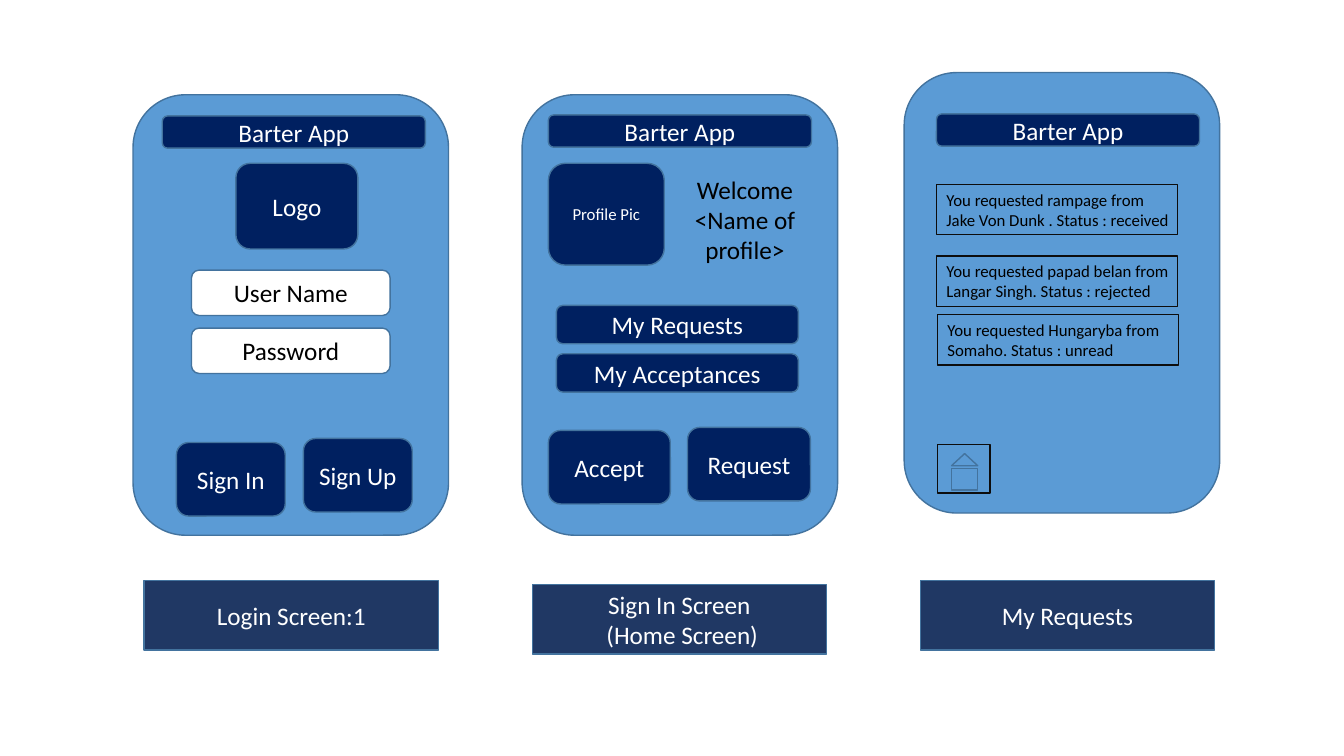
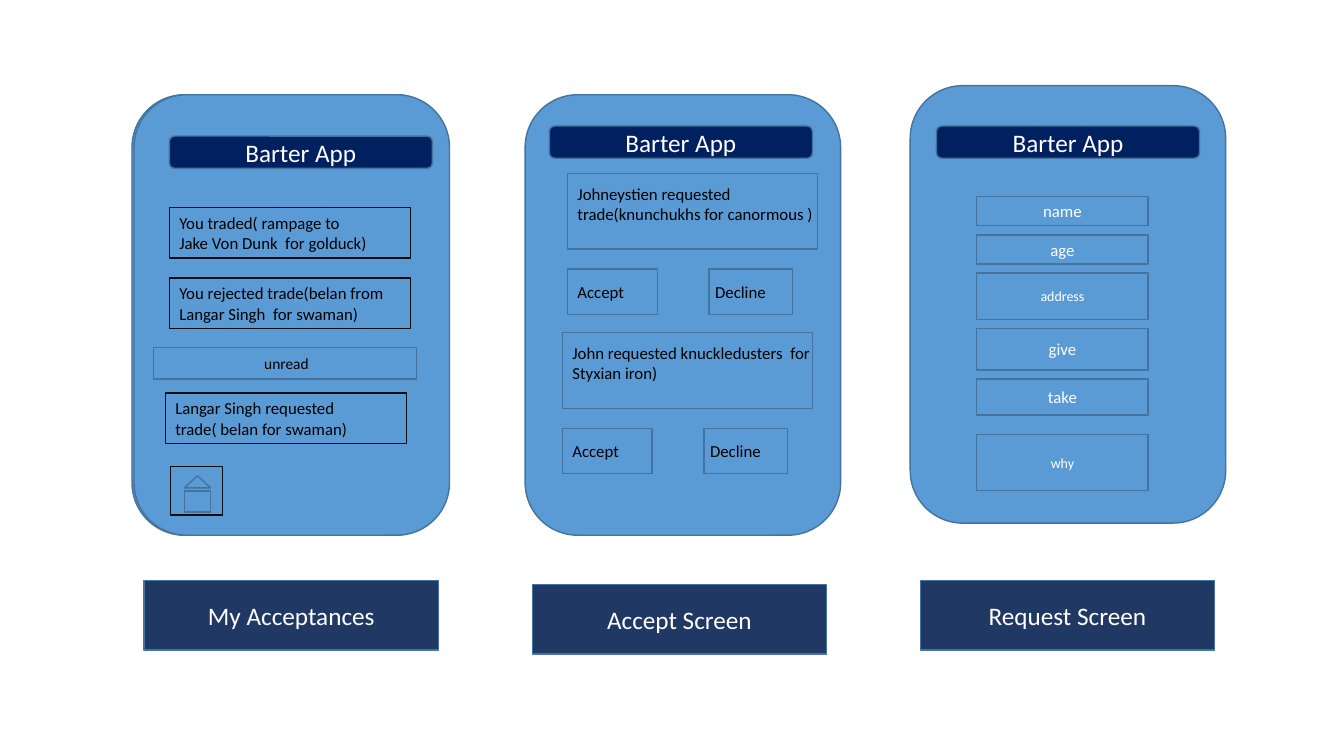
import dataclasses
import typing

import pptx
import pptx.dml.color
import pptx.enum.shapes
import pptx.enum.text
import pptx.util

SHAPE = pptx.enum.shapes.MSO_SHAPE
ALIGN = pptx.enum.text.PP_ALIGN
ANCHOR = pptx.enum.text.MSO_ANCHOR

CELL = pptx.util.Inches(0.1)
COLS, ROWS = 133.33, 75
FONT = "Calibri"
COLORS = {
    "screen": "5B9BD5",
    "outline": "43739E",
    "navy": "002060",
    "caption": "203864",
    "white": "FFFFFF",
    "black": "000000",
    "frame": "0D0D0D",
}


def cells(n: float) -> int:
    return round(n * CELL)


def rgb(name: str) -> pptx.dml.color.RGBColor:
    return pptx.dml.color.RGBColor.from_string(COLORS[name])


@dataclasses.dataclass(frozen=True)
class Style:
    shape: typing.Any = SHAPE.RECTANGLE
    fill: typing.Optional[str] = "screen"
    line: str = "outline"
    ink: str = "white"
    size: int = 18
    align: typing.Any = ALIGN.CENTER
    frame: dict = dataclasses.field(default_factory=dict)


@dataclasses.dataclass(frozen=True)
class Box:
    style: str
    col: float
    row: float
    width: float
    height: float
    text: str = ""


NOTE_FRAME = {"margin_right": 0}
OFFER_FRAME = {"margin_right": 0, "margin_top": cells(1), "vertical_anchor": ANCHOR.TOP}
CHOICE = Style(ink="black", size=12, align=ALIGN.LEFT)
STYLES = {
    "phone": Style(SHAPE.ROUNDED_RECTANGLE),
    "button": Style(SHAPE.ROUNDED_RECTANGLE, "navy"),
    "photo": Style(SHAPE.ROUNDED_RECTANGLE, "navy", size=12),
    "input": Style(SHAPE.ROUNDED_RECTANGLE, "white", ink="black"),
    "caption": Style(fill="caption"),
    "note": Style(fill=None, line="frame", ink="black", size=12,
                  align=ALIGN.LEFT, frame=NOTE_FRAME),
    "status": Style(ink="black", size=11),
    "offer": dataclasses.replace(CHOICE, frame=OFFER_FRAME),
    "accept": CHOICE,
    "decline": dataclasses.replace(CHOICE, frame={"margin_left": cells(0.6), "margin_right": 0}),
    "field": Style(size=12),
    "small field": Style(size=10),
    "icon frame": Style(line="frame"),
    "wall": Style(),
    "roof": Style(SHAPE.ISOSCELES_TRIANGLE),
}


def write(tf: typing.Any, text: str, style: Style) -> None:
    frame = {"word_wrap": True, "vertical_anchor": ANCHOR.MIDDLE, **style.frame}
    for name, value in frame.items():
        setattr(tf, name, value)
    for i, line in enumerate(text.split("\n")):
        p = tf.paragraphs[0] if i == 0 else tf.add_paragraph()
        p.alignment = style.align
        r = p.add_run()
        r.text = line
        for name, value in {"name": FONT, "size": pptx.util.Pt(style.size)}.items():
            setattr(r.font, name, value)
        r.font.color.rgb = rgb(style.ink)


def draw(s: typing.Any, box: Box) -> None:
    style = STYLES[box.style]
    sp = s.shapes.add_shape(style.shape, *map(cells, (box.col, box.row, box.width, box.height)))
    sp.shadow.inherit = False
    if style.fill:
        sp.fill.solid()
        sp.fill.fore_color.rgb = rgb(style.fill)
    else:
        sp.fill.background()
    sp.line.color.rgb = rgb(style.line)
    sp.line.width = pptx.util.Pt(1)
    if box.text:
        write(sp.text_frame, box.text, style)


def welcome(s: typing.Any, col: float, row: float) -> None:
    sp = s.shapes.add_textbox(*map(cells, (col, row, 16, 10.1)))
    write(sp.text_frame, "Welcome\n<Name of profile>",
          Style(ink="black", frame={"vertical_anchor": ANCHOR.TOP}))


def phone(col: float, row: float, height: float = 43.7) -> Box:
    return Box("phone", col, row, 31.3, height)


def header(col: float, row: float) -> Box:
    return Box("button", col, row, 26.1, 3.2, "Barter App")


def note(col: float, row: float, text: str) -> Box:
    return Box("note", col, row, 23.9, 5, text)


def home(col: float, row: float) -> list[Box]:
    return [
        Box("icon frame", col, row, 5.2, 4.8),
        Box("wall", col + 1.4, row + 2.4, 2.6, 2.1),
        Box("roof", col + 1.4, row + 0.9, 2.6, 1.2),
    ]


def offer(col: float, row: float, text: str) -> list[Box]:
    return [
        Box("offer", col, row, 24.8, 7.5, text),
        Box("accept", col, row + 9.5, 8.9, 4.5, "Accept"),
        Box("decline", col + 14.05, row + 9.5, 8.3, 4.5, "Decline"),
    ]


def form(col: float, row: float) -> list[Box]:
    fields = [
        ("field", "name", 2.9, 0.9),
        ("field", "age", 2.9, 0.9),
        ("small field", "address", 4.6, 0.9),
        ("field", "give", 4.1, 0.9),
        ("field", "take", 3.6, 1.9),
        ("small field", "why", 5.6, 0),
    ]
    boxes = []
    for style, text, height, gap in fields:
        boxes.append(Box(style, col, row, 17, height, text))
        row += height + gap
    return boxes


def captions(*texts: str) -> list[Box]:
    return [Box("caption", 14.3 + 38.5 * i, 58 if i == 1 else 57.6, 29.2, 6.9, text)
            for i, text in enumerate(texts)]


LOGIN = [
    phone(13.2, 9.4),
    header(16.1, 11.5),
    Box("button", 23.4, 16.2, 12.1, 8.5, "Logo"),
    *(Box("input", 19, 26.8 + 5.75 * i, 19.7, 4.5, text)
      for i, text in enumerate(("User Name", "Password"))),
    Box("button", 17.5, 43.9, 10.8, 7.3, "Sign In"),
    Box("button", 30.1, 43.5, 10.8, 7.3, "Sign Up"),
]
HOME = [
    phone(51.8, 9.4),
    header(54.4, 11.4),
    Box("photo", 54.4, 16.2, 11.5, 10.1, "Profile Pic"),
    *(Box("button", 55.2, 30.3 + 4.8 * i, 24, 3.8, text)
      for i, text in enumerate(("My Requests", "My Acceptances"))),
    Box("button", 54.4, 42.7, 12.1, 7.3, "Accept"),
    Box("button", 68.2, 42.4, 12.2, 7.3, "Request"),
]
REQUESTS = [
    phone(89.7, 7.2),
    header(92.9, 11.3),
    note(92.9, 18.3, "You requested rampage from\nJake Von Dunk . Status : received"),
    note(92.9, 25.4, "You requested papad belan from\nLangar Singh. Status : rejected"),
    note(93, 31.2, "You requested Hungaryba from\nSomaho. Status : unread"),
    *home(93, 44.1),
]
ACCEPTANCES = [
    phone(13.1, 9.4),
    phone(13.3, 9.4),
    header(16.8, 13.5),
    note(16.8, 20.6, "You traded( rampage to\nJake Von Dunk  for golduck)"),
    note(16.8, 27.6, "You rejected trade(belan from\nLangar Singh  for swaman)"),
    Box("status", 15.2, 34.5, 26.1, 3.1, " unread"),
    note(16.4, 39, "Langar Singh requested\ntrade( belan for swaman)"),
    *home(16.9, 46.3),
]
ACCEPT = [
    phone(52.1, 9.4),
    header(54.5, 12.5),
    *offer(56.3, 17.2, "Johneystien requested\ntrade(knunchukhs for canormous )"),
    *offer(55.8, 33, "John requested knuckledusters  for\nStyxian iron)"),
]
REQUEST = [
    phone(90.3, 8.5, 43.4),
    header(92.9, 12.5),
    *form(96.9, 19.5),
]
SLIDES = [
    LOGIN + HOME + REQUESTS
    + captions("Login Screen:1", "Sign In Screen\n (Home Screen)", "My Requests"),
    ACCEPTANCES + ACCEPT + REQUEST
    + captions("My Acceptances", "Accept Screen", "Request Screen"),
]


def main() -> None:
    prs = pptx.Presentation()
    prs.slide_width, prs.slide_height = cells(COLS), cells(ROWS)
    for boxes in SLIDES:
        s = prs.slides.add_slide(prs.slide_layouts[6])
        for box in boxes:
            draw(s, box)
    welcome(prs.slides[0], 65.9, 16.8)
    prs.save("out.pptx")


main()
